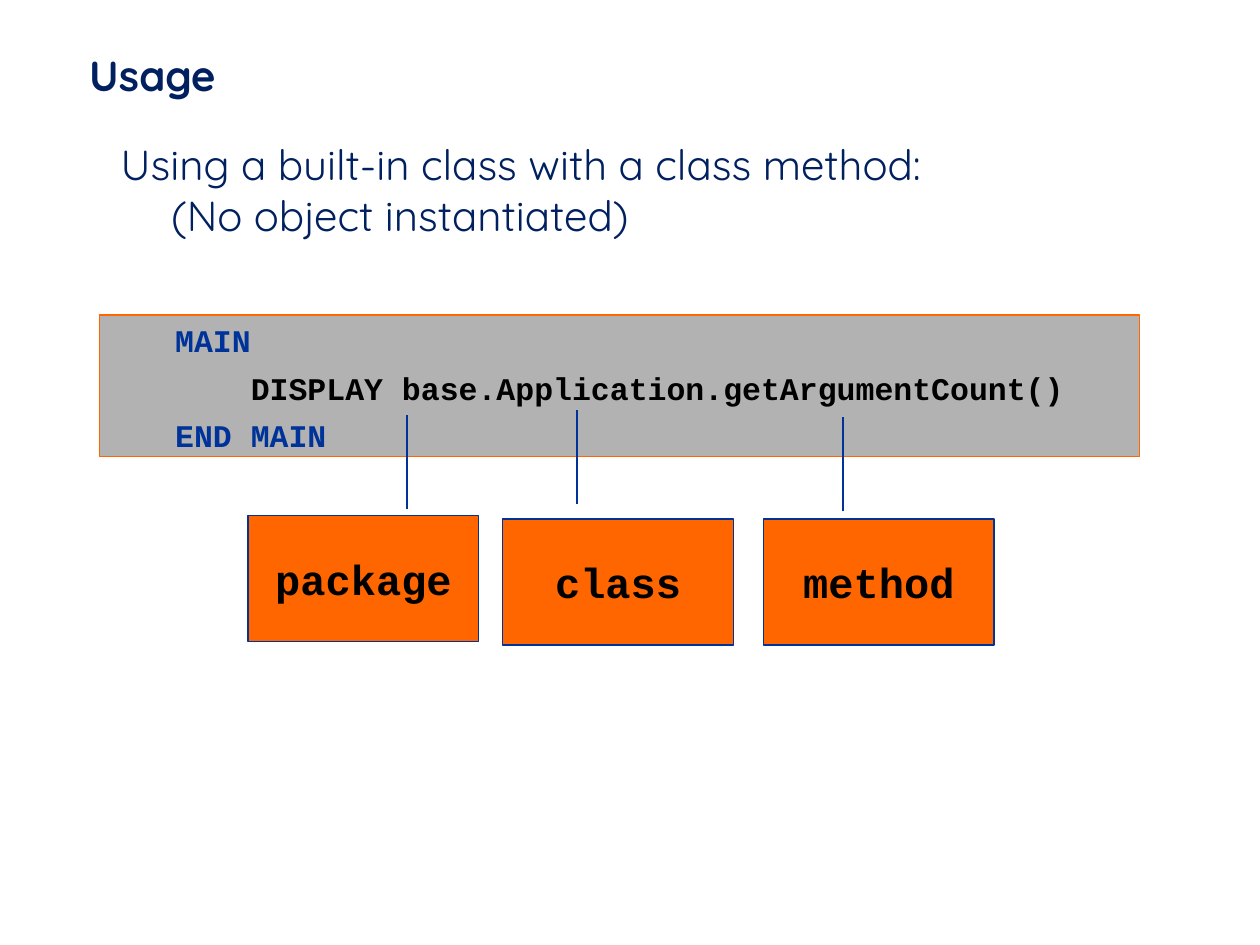
from lxml import etree
from pptx import Presentation
from pptx.dml.color import RGBColor
from pptx.enum.shapes import MSO_CONNECTOR, MSO_SHAPE
from pptx.enum.text import MSO_ANCHOR, PP_ALIGN
from pptx.oxml.ns import qn
from pptx.util import Pt

RECT = MSO_SHAPE.RECTANGLE
LINE = MSO_CONNECTOR.STRAIGHT
MIDDLE = MSO_ANCHOR.MIDDLE
CENTER = PP_ALIGN.CENTER

COLORS = {
    "navy": "002060",
    "blue": "003399",
    "orange": "FF6600",
    "gray": "B2B2B2",
    "black": "000000",
}
SANS = {"name": "Quicksand", "size": Pt(24)}
MONO = {"name": "Courier New", "bold": True}

# Label, left and top of the tag, then x and foot of its pointer
TAGS = [
    ("package", 141.8, 294.5, 232.6, 290.9),
    ("class", 287.3, 296.6, 329.8, 288),
    ("method", 436.3, 296.6, 481.7, 292.3),
]
TAG_SIZE = (131.8, 72)
REACH = 54


def color(name):
    return RGBColor.from_string(COLORS[name])


def apply(target, values):
    for key, value in values.items():
        setattr(target, key, value)


def style(run, tint, font):
    apply(run.font, font)
    run.font.color.rgb = color(tint)


def indent(para, left, first=0):
    props = para._p.get_or_add_pPr()
    props.set("marL", str(Pt(left)))
    props.set("indent", str(Pt(first)))


def text_box(slide, box, frame):
    shape = slide.shapes.add_textbox(*map(Pt, box))
    apply(shape.text_frame, {"word_wrap": True, **frame})
    return shape.text_frame


def panel(slide, box, fill, edge):
    shape = slide.shapes.add_shape(RECT, *map(Pt, box))
    shape.shadow.inherit = False
    shape.fill.solid()
    shape.fill.fore_color.rgb = color(fill)
    shape.line.color.rgb = color(edge)
    shape.line.width = Pt(0.75)
    return shape.text_frame


def add_title(slide, box):
    sides = ("left", "top", "right", "bottom")
    frame = {f"margin_{side}": 0 for side in sides}
    body = text_box(slide, box, {"vertical_anchor": MIDDLE, **frame})
    run = body.paragraphs[0].add_run()
    run.text = "Usage"
    style(run, "navy", {**SANS, "bold": True})


def add_intro(slide, box):
    body = text_box(slide, box, {
        "margin_left": Pt(12), "margin_right": Pt(12),
        "margin_top": Pt(6), "margin_bottom": Pt(6),
    })
    para = body.paragraphs[0]
    para.space_before = Pt(5)
    indent(para, 28.8, -28.8)
    para.text = "Using a built-in class with a class method:\v(No object instantiated)"
    for run in para.runs:
        style(run, "navy", SANS)


def add_code(slide, box):
    body = panel(slide, box, "gray", "orange")
    apply(body, {"word_wrap": True, "vertical_anchor": MSO_ANCHOR.TOP})
    lines = [
        ("MAIN", "blue", 36),
        ("DISPLAY base.Application.getArgumentCount()", "black", 79.2),
        ("END MAIN", "blue", 36),
    ]
    for i, (text, tint, left) in enumerate(lines):
        para = body.add_paragraph() if i else body.paragraphs[0]
        apply(para, {"alignment": PP_ALIGN.LEFT, "space_before": Pt(5.5)})
        indent(para, left)
        run = para.add_run()
        run.text = text
        style(run, tint, {**MONO, "size": Pt(18)})


def add_tag(slide, box, label):
    body = panel(slide, box, "orange", "blue")
    apply(body, {"word_wrap": False, "vertical_anchor": MIDDLE})
    para = body.paragraphs[0]
    para.alignment = CENTER
    run = para.add_run()
    run.text = label
    style(run, "black", {**MONO, "size": Pt(24)})


def add_pointer(slide, x, foot):
    ends = (x, foot, x, foot - REACH)
    line = slide.shapes.add_connector(LINE, *map(Pt, ends))
    line.line.color.rgb = color("blue")
    line.line.width = Pt(0.75)
    etree.SubElement(line._element.spPr, qn("a:effectLst"))


def main():
    deck = Presentation()
    apply(deck, {"slide_width": Pt(720), "slide_height": Pt(540)})
    slide = deck.slides.add_slide(deck.slide_layouts[6])
    add_title(slide, (51, 17.3, 615, 51))
    add_intro(slide, (57, 73.4, 624, 396))
    add_code(slide, (57, 180, 594, 80.8))
    for label, left, top, x, foot in TAGS:
        add_tag(slide, (left, top, *TAG_SIZE), label)
        add_pointer(slide, x, foot)
    deck.save("out.pptx")


if __name__ == "__main__":
    main()
